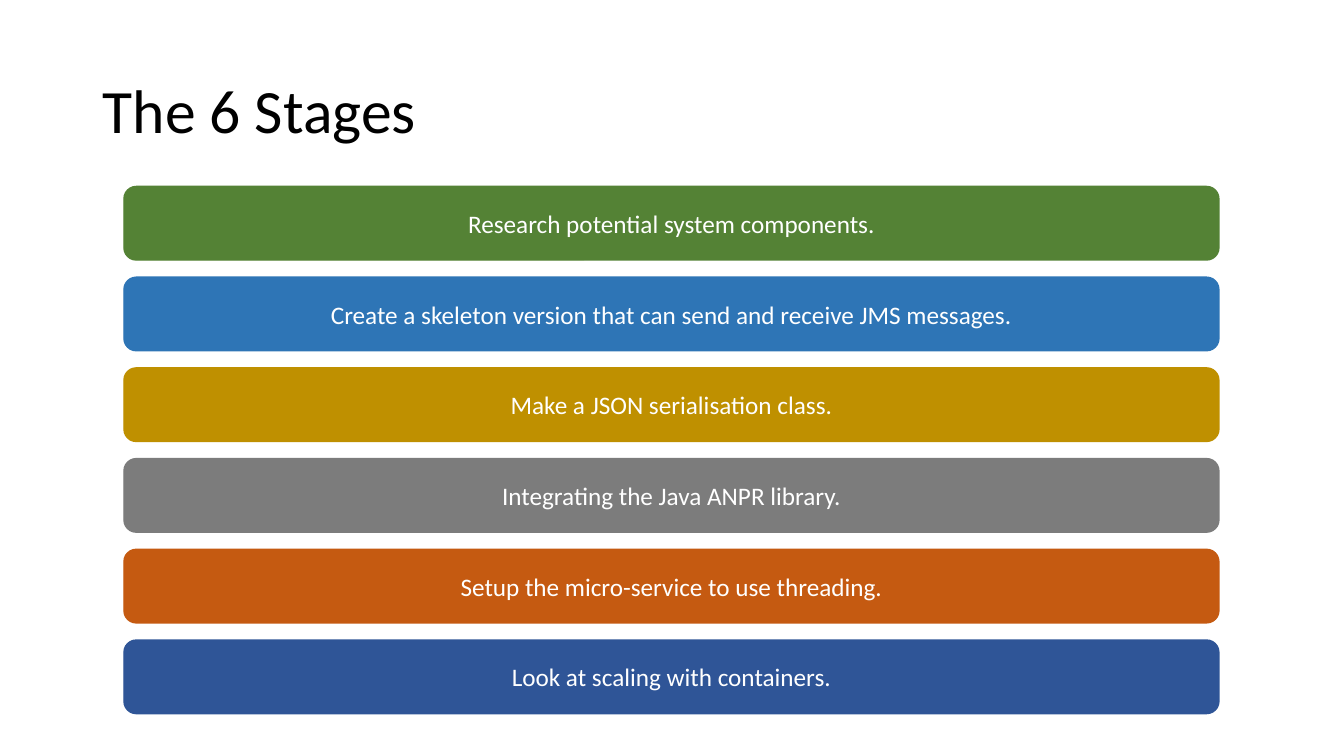
from pptx import Presentation
from pptx.dml.color import RGBColor
from pptx.enum.shapes import MSO_SHAPE
from pptx.enum.text import MSO_ANCHOR, PP_ALIGN
from pptx.util import Inches, Pt

# Content
TITLE = "The 6 Stages"
STAGES = [
    ("Research potential system components.", "548235"),
    ("Create a skeleton version that can send and receive JMS messages.", "2E75B6"),
    ("Make a JSON serialisation class.", "BF9000"),
    ("Integrating the Java ANPR library.", "7C7C7C"),
    ("Setup the micro-service to use threading.", "C55A11"),
    ("Look at scaling with containers.", "2F5597"),
]

# Layout of the stage bars, in inches
BAR_LEFT, FIRST_TOP = 1.23, 1.85
BAR_WIDTH, BAR_HEIGHT = 10.86, 0.73
BAR_PITCH = 0.9


def color(hex_string):
    return RGBColor.from_string(hex_string)


def write(shape, text, size, hex_string, alignment):
    frame = shape.text_frame
    frame.text = text
    frame.word_wrap = True
    frame.vertical_anchor = MSO_ANCHOR.MIDDLE
    paragraph = frame.paragraphs[0]
    paragraph.alignment = alignment
    font = paragraph.runs[0].font
    font.name = "Calibri"
    font.size = Pt(size)
    font.color.rgb = color(hex_string)
    return paragraph


def add_stage(slide, top, text, fill):
    bar = slide.shapes.add_shape(
        MSO_SHAPE.ROUNDED_RECTANGLE,
        Inches(BAR_LEFT), Inches(top), Inches(BAR_WIDTH), Inches(BAR_HEIGHT))
    bar.shadow.inherit = False
    bar.fill.solid()
    bar.fill.fore_color.rgb = color(fill)
    bar.line.color.rgb = color(fill)
    bar.line.width = Pt(1)
    write(bar, text, 18, "FFFFFF", PP_ALIGN.CENTER)


def main():
    presentation = Presentation()
    presentation.slide_width = Inches(13.33)
    presentation.slide_height = Inches(7.5)
    slide = presentation.slides.add_slide(presentation.slide_layouts[5])

    # Title
    title = slide.shapes.title
    title.left, title.top = Inches(0.92), Inches(0.4)
    title.width, title.height = Inches(11.5), Inches(1.45)
    heading = write(title, TITLE, 44, "000000", PP_ALIGN.LEFT)
    heading.line_spacing = 0.9

    # Stage bars
    for index, (text, fill) in enumerate(STAGES):
        add_stage(slide, FIRST_TOP + index * BAR_PITCH, text, fill)

    presentation.save("out.pptx")


if __name__ == "__main__":
    main()
